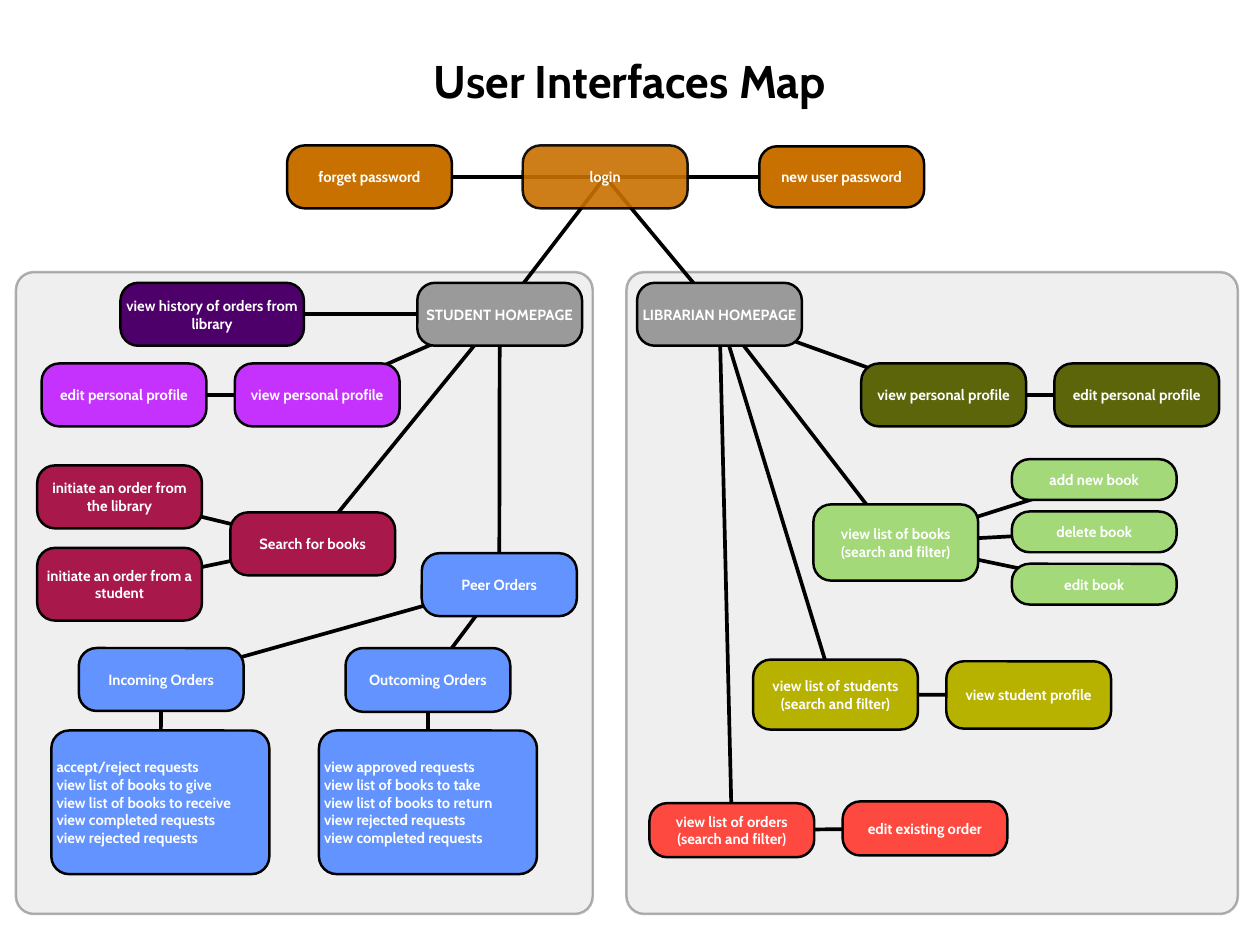
"""Build the User Interfaces Map slide: two panels of linked boxes under a login row."""
import pptx
import pptx.dml.color
import pptx.enum.shapes
import pptx.enum.text
import pptx.util
import pptx.oxml
import pptx.oxml.ns
from lxml import etree

Inches = pptx.util.Inches
ALIGN = pptx.enum.text.PP_ALIGN
ANCHOR = pptx.enum.text.MSO_ANCHOR
ROUND = pptx.enum.shapes.MSO_SHAPE.ROUNDED_RECTANGLE
STRAIGHT = pptx.enum.shapes.MSO_CONNECTOR.STRAIGHT

HUES = {
    "black": "000000", "white": "FFFFFF", "panel": "CDCDCD", "orange": "C97100",
    "gray": "9A9A9A", "indigo": "4D0069", "purple": "C632FD", "wine": "A8184B",
    "blue": "6293FE", "olive": "5C650A", "green": "A3D979", "mustard": "B7B100",
    "red": "FE4940",
}
RADIUS = 0.2
WIDE, HIGH = 1.86, 0.71
STEP = 2.18

PANELS = [(7.07, 3.07, 6.9, 7.24), (0.18, 3.07, 6.51, 7.24)]

BOXES = {
    "login": ("login", "orange", 5.9, 1.64, WIDE, HIGH),
    "forget": ("forget password", "orange", 3.24, 1.64, WIDE, HIGH),
    "new": ("new user password", "orange", 8.57, 1.65, WIDE, 0.69),
    "student": ("STUDENT HOMEPAGE", "gray", 4.71, 3.19, WIDE, HIGH),
    "history": ("view history of orders from library", "indigo", 1.36, 3.19, 2.07, HIGH),
    "profile": ("view personal profile", "purple", 2.65, 4.1, WIDE, HIGH),
    "edit": ("edit personal profile", "purple", 2.65 - STEP, 4.1, WIDE, HIGH),
    "search": ("Search for books", "wine", 2.6, 5.78, WIDE, HIGH),
    "library": ("initiate an order from the library", "wine", 2.6 - STEP, 5.25, WIDE, HIGH),
    "peer": ("initiate an order from a student", "wine", 2.6 - STEP, 6.18, WIDE, 0.82),
    "orders": ("Peer Orders", "blue", 4.76, 6.24, 1.75, HIGH),
    "in": ("Incoming Orders", "blue", 0.89, 7.31, WIDE, HIGH),
    "out": ("Outcoming Orders", "blue", 3.9, 7.31, WIDE, 0.72),
    "in list": ("accept/reject requests\nview list of books to give\n"
                "view list of books to receive\nview completed requests\n"
                "view rejected requests", "blue", 0.58, 8.24, 2.46, 1.62),
    "out list": ("view approved requests\nview list of books to take\n"
                 "view list of books to return\nview rejected requests\n"
                 "view completed requests", "blue", 3.6, 8.24, 2.46, 1.62),
    "staff": ("LIBRARIAN HOMEPAGE", "gray", 7.19, 3.19, WIDE, HIGH),
    "staff profile": ("view personal profile", "olive", 9.72, 4.1, WIDE, HIGH),
    "staff edit": ("edit personal profile", "olive", 9.72 + STEP, 4.1, WIDE, HIGH),
    "books": ("view list of books (search and filter)", "green", 9.18, 5.69, WIDE, 0.86),
    "pupils": ("view list of students (search and filter)", "mustard", 8.5, 7.44, WIDE, 0.79),
    "pupil": ("view student profile", "mustard", 8.5 + STEP, 7.46, WIDE, 0.76),
    "sales": ("view list of orders (search and filter)", "red", 7.33, 9.06, WIDE, 0.61),
    "sale": ("edit existing order", "red", 7.33 + STEP, 9.04, WIDE, 0.61),
}
for row, verb in enumerate(("add new", "delete", "edit")):
    BOXES[verb + " book"] = (verb + " book", "green", 11.42, 5.18 + 0.59 * row, WIDE, 0.46)

LINKS = {
    "login": ["student", "staff", "new", "forget"],
    "student": ["profile", "search", "history", "orders"],
    "profile": ["edit"],
    "search": ["library", "peer"],
    "orders": ["in", "out"],
    "in": ["in list"],
    "out": ["out list"],
    "staff": ["staff profile", "books", "pupils", "sales"],
    "staff profile": ["staff edit"],
    "books": ["add new book", "delete book", "edit book"],
    "pupils": ["pupil"],
    "sales": ["sale"],
}


def shade(hue):
    return pptx.dml.color.RGBColor.from_string(HUES[hue])


def write(shape, text, size=12, hue="white", align=ALIGN.CENTER, anchor=ANCHOR.MIDDLE, inset=0):
    frame = shape.text_frame
    frame.word_wrap = True
    frame.auto_size = pptx.enum.text.MSO_AUTO_SIZE.NONE
    frame.vertical_anchor = anchor
    frame.margin_left = frame.margin_right = Inches(inset)
    frame.margin_top = frame.margin_bottom = Inches(inset)
    frame.text = text
    for para in frame.paragraphs:
        para.alignment = align
        font = para.runs[0].font
        font.name, font.size, font.bold = "Cabin", pptx.util.Pt(size), True
        font.color.rgb = shade(hue)


def fade(shape, percent):
    for color in shape._element.spPr.iter(pptx.oxml.ns.qn("a:srgbClr")):
        alpha = etree.SubElement(color, pptx.oxml.ns.qn("a:alpha"))
        alpha.set("val", str(percent * 1000))


def block(slide, hue, x, y, w, h):
    shape = slide.shapes.add_shape(ROUND, Inches(x), Inches(y), Inches(w), Inches(h))
    shape.adjustments[0] = RADIUS / min(w, h)
    shape.shadow.inherit = False
    shape.fill.solid()
    shape.fill.fore_color.rgb = shade(hue)
    shape.line.color.rgb = shade("black")
    shape.line.width = pptx.util.Pt(2)
    return shape


def center(name):
    x, y, w, h = BOXES[name][2:]
    return Inches(x + w / 2), Inches(y + h / 2)


def link(slide, start, end):
    line = slide.shapes.add_connector(STRAIGHT, *center(start), *center(end))
    line.line.color.rgb = shade("black")
    line.line.width = pptx.util.Pt(3)
    etree.SubElement(line._element.spPr, pptx.oxml.ns.qn("a:effectLst"))


def head(slide, text):
    title = slide.shapes.title
    title.left, title.top = Inches(1.39), Inches(0.54)
    title.width, title.height = Inches(11.44), Inches(0.74)
    write(title, text, size=37.2, hue="black", anchor=ANCHOR.TOP, inset=0.06)


def main():
    deck = pptx.Presentation()
    deck.slide_width, deck.slide_height = Inches(14.22), Inches(10.66)
    slide = deck.slides.add_slide(deck.slide_layouts[5])
    head(slide, "User Interfaces Map")
    for place in PANELS:
        fade(block(slide, "panel", *place), 30)
    for start, ends in LINKS.items():
        for end in ends:
            link(slide, start, end)
    for name, (text, hue, *place) in BOXES.items():
        shape = block(slide, hue, *place)
        write(shape, text, align=ALIGN.LEFT if "\n" in text else ALIGN.CENTER)
        if name == "login":
            fade(shape, 90)
    deck.save("out.pptx")


if __name__ == "__main__":
    main()
